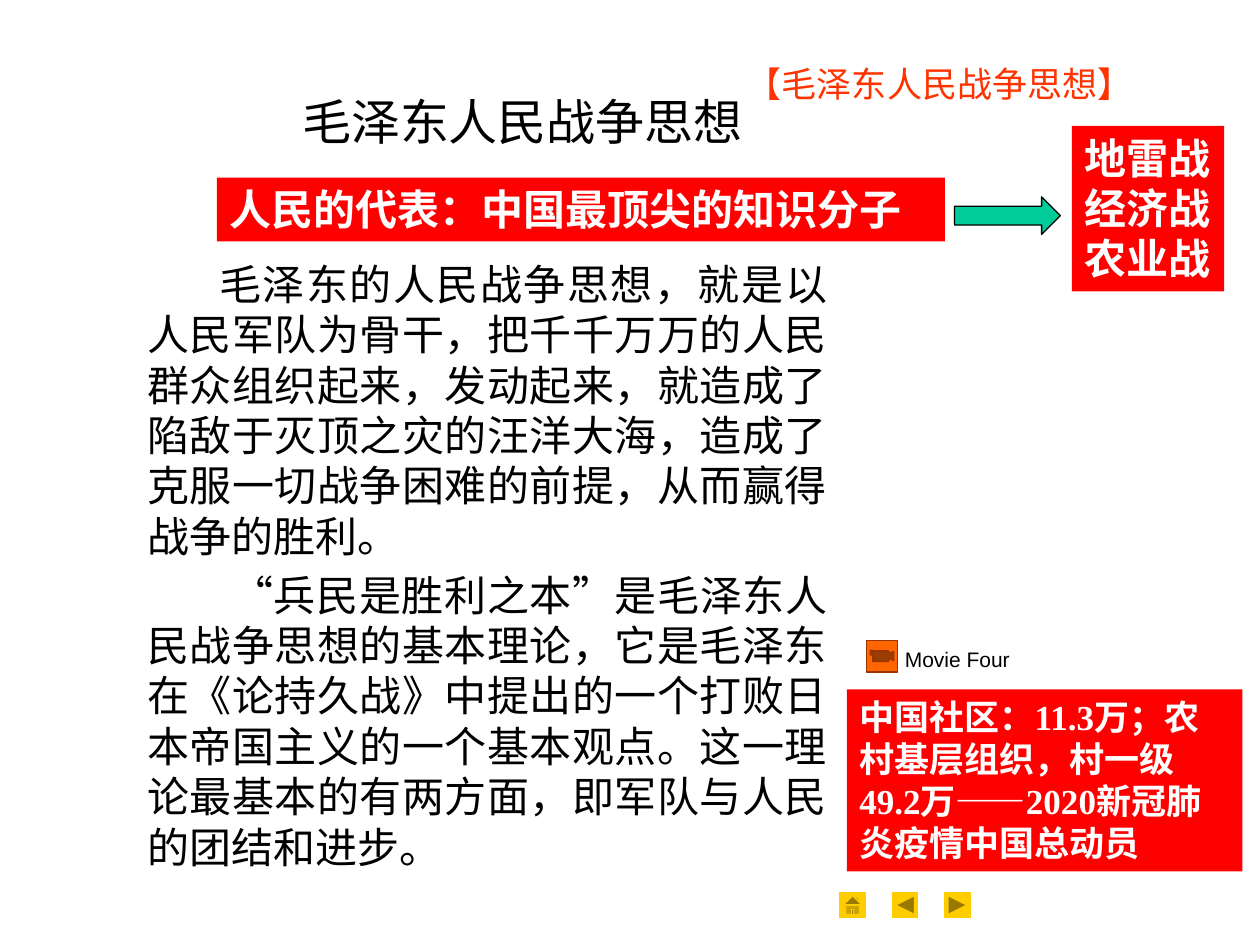
from dataclasses import dataclass

from pptx import Presentation
from pptx.dml.color import RGBColor
from pptx.enum.shapes import MSO_SHAPE
from pptx.enum.text import MSO_ANCHOR, MSO_AUTO_SIZE, PP_ALIGN
from pptx.util import Pt

SERIF = "Times New Roman"
BLACK, WHITE, RED, ORANGE_RED = "000000", "FFFFFF", "FF0000", "FF3300"
YELLOW, ORANGE, BROWN, GREEN = "FFCC00", "FF6600", "993300", "00CC99"


@dataclass
class Box:
    left: float
    top: float
    width: float
    height: float


@dataclass
class TextStyle:
    size: float
    color: str = BLACK
    font: str = SERIF
    bold: bool = False
    align: PP_ALIGN = PP_ALIGN.LEFT
    anchor: MSO_ANCHOR = MSO_ANCHOR.TOP
    wrap: bool = True


@dataclass
class Banner:
    box: Box
    text: str
    size: float
    wrap: bool = True


@dataclass
class Icon:
    kind: MSO_SHAPE
    box: Box
    fill: str
    line: str


def rgb(value: str) -> RGBColor:
    return RGBColor.from_string(value)


def lengths(box: Box) -> tuple:
    return Pt(box.left), Pt(box.top), Pt(box.width), Pt(box.height)


def write(shape, text: str, style: TextStyle) -> None:
    frame = shape.text_frame
    frame.text = text
    frame.word_wrap = style.wrap
    frame.auto_size = MSO_AUTO_SIZE.NONE
    frame.vertical_anchor = style.anchor
    for paragraph in frame.paragraphs:
        paragraph.alignment = style.align
        for run in paragraph.runs:
            run.font.name = style.font
            run.font.size = Pt(style.size)
            run.font.bold = style.bold
            run.font.color.rgb = rgb(style.color)


def fill_placeholder(shape, box: Box, text: str, style: TextStyle) -> None:
    shape.left, shape.top, shape.width, shape.height = lengths(box)
    write(shape, text, style)


def add_text(slide, box: Box, text: str, style: TextStyle) -> None:
    write(slide.shapes.add_textbox(*lengths(box)), text, style)


def add_filled_shape(slide, kind: MSO_SHAPE, box: Box, fill: str, line: str = ""):
    """Add a flat preset shape; an empty line colour means no outline."""
    shape = slide.shapes.add_shape(kind, *lengths(box))
    shape.shadow.inherit = False
    shape.fill.solid()
    shape.fill.fore_color.rgb = rgb(fill)
    if line:
        shape.line.color.rgb = rgb(line)
        shape.line.width = Pt(0.75)
    else:
        shape.line.fill.background()
    return shape


BODY = (
    "毛泽东的人民战争思想，就是以人民军队为骨干，把千千万万的人民群众组织起来，"
    "发动起来，就造成了陷敌于灭顶之灾的汪洋大海，造成了克服一切战争困难的前提，"
    "从而赢得战争的胜利。\n"
    "“兵民是胜利之本”是毛泽东人民战争思想的基本理论，它是毛泽东在《论持久战》中"
    "提出的一个打败日本帝国主义的一个基本观点。这一理论最基本的有两方面，"
    "即军队与人民的团结和进步。"
)
BODY_INDENTS = (41, 48)

BANNERS = [
    Banner(Box(124, 101.5, 416, 36.5), "人民的代表：中国最顶尖的知识分子", 24),
    Banner(Box(612.5, 72, 87, 94.5), "地雷战\n经济战\n农业战", 24, wrap=False),
    Banner(
        Box(484, 394, 226, 104),
        "中国社区：11.3万；农村基层组织，村一级49.2万——2020新冠肺炎疫情中国总动员",
        20,
    ),
]

NAVIGATION = [
    MSO_SHAPE.ACTION_BUTTON_HOME,
    MSO_SHAPE.ACTION_BUTTON_BACK_OR_PREVIOUS,
    MSO_SHAPE.ACTION_BUTTON_FORWARD_OR_NEXT,
]
ICONS = [
    Icon(kind, Box(480 + 30 * index, 510, 14.4, 14.4), YELLOW, YELLOW)
    for index, kind in enumerate(NAVIGATION)
] + [Icon(MSO_SHAPE.ACTION_BUTTON_MOVIE, Box(495, 366, 18, 18), ORANGE, BROWN)]


def main() -> None:
    presentation = Presentation()
    presentation.slide_width, presentation.slide_height = Pt(720), Pt(540)
    slide = presentation.slides.add_slide(presentation.slide_layouts[0])

    title, body = slide.placeholders
    centered = TextStyle(28, align=PP_ALIGN.CENTER, anchor=MSO_ANCHOR.MIDDLE)
    fill_placeholder(title, Box(163.5, 24, 270, 90), "毛泽东人民战争思想", centered)

    body_style = TextStyle(24, align=PP_ALIGN.JUSTIFY)
    fill_placeholder(body, Box(77, 144, 403, 318), BODY, body_style)
    for paragraph, indent in zip(body.text_frame.paragraphs, BODY_INDENTS):
        paragraph.space_before = Pt(0)
        properties = paragraph._p.get_or_add_pPr()
        properties.set("marL", "0")
        properties.set("indent", str(Pt(indent)))
    body.text_frame.paragraphs[1].space_before = Pt(4.8)

    for icon in ICONS:
        add_filled_shape(slide, icon.kind, icon.box, icon.fill, icon.line)
    add_text(slide, Box(510, 366, 81, 21.6), "Movie Four", TextStyle(12, font="Arial"))
    add_text(
        slide,
        Box(408, 30, 258, 36),
        "【毛泽东人民战争思想】",
        TextStyle(20, ORANGE_RED, align=PP_ALIGN.CENTER, anchor=MSO_ANCHOR.MIDDLE),
    )

    for banner in BANNERS:
        shape = add_filled_shape(slide, MSO_SHAPE.RECTANGLE, banner.box, RED)
        style = TextStyle(banner.size, WHITE, bold=True, wrap=banner.wrap)
        write(shape, banner.text, style)

    arrow_box = Box(545.5, 112.5, 60.5, 21.5)
    arrow = add_filled_shape(slide, MSO_SHAPE.RIGHT_ARROW, arrow_box, GREEN, BLACK)
    arrow.adjustments[0], arrow.adjustments[1] = 0.5, 0.5

    presentation.save("out.pptx")


if __name__ == "__main__":
    main()
